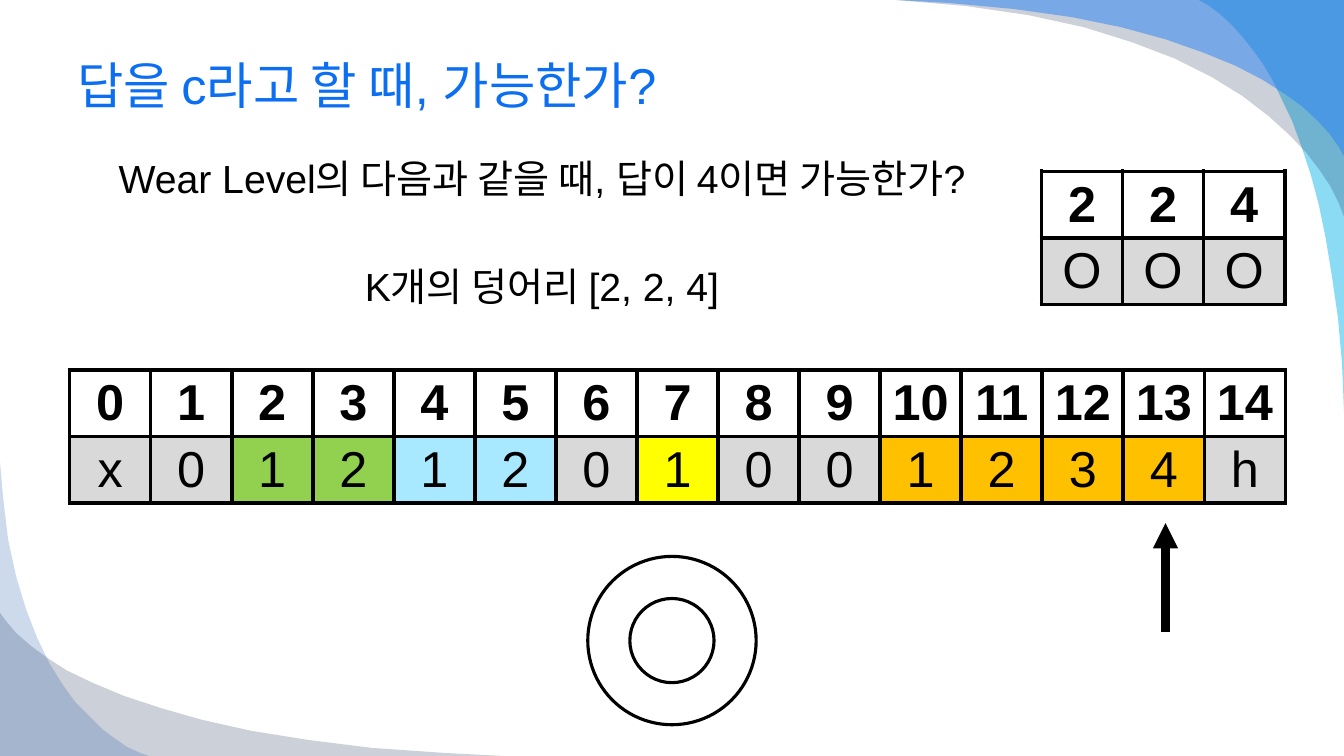
"""Build the slide that checks whether the answer c is possible."""
from lxml import etree
from pptx import Presentation
from pptx import util as u
from pptx.dml.color import RGBColor
from pptx.enum import shapes, text
from pptx.oxml import ns

COLORS = {
    "black": "000000", "white": "FFFFFF", "title": "0C6FF2", "gray": "D9D9D9",
    "green": "92D050", "sky": "A8E9FF", "yellow": "FFFF00", "orange": "FFC000",
    "cyan": "00B1E9", "navy": "021741", "blue": "247FF4", "royal": "084AA1",
}


def add_run(paragraph, words, size, color="black", bold=False):
    run = paragraph.add_run()
    run.text = words
    run.font.name = "Arial"
    run.font.size = u.Pt(size)
    run.font.bold = bold
    run.font.color.rgb = RGBColor.from_string(COLORS[color])


def add_grid(slide, left, top, headers, values, fills):
    column_width, row_height = 0.804, 0.66
    table = slide.shapes.add_table(
        2, len(headers), u.Inches(left), u.Inches(top),
        u.Inches(column_width * len(headers)), u.Inches(row_height * 2)).table
    for column in table.columns:
        column.width = u.Inches(column_width)
    rows = (headers, ["white"] * len(headers)), (values, fills)
    for row, (labels, colors) in enumerate(rows):
        table.rows[row].height = u.Inches(row_height)
        for column, (label, color) in enumerate(zip(labels, colors)):
            cell = table.cell(row, column)
            cell.margin_top = cell.margin_bottom = u.Inches(0.03)
            cell.vertical_anchor = text.MSO_ANCHOR.MIDDLE
            paragraph = cell.text_frame.paragraphs[0]
            paragraph.alignment = text.PP_ALIGN.CENTER
            add_run(paragraph, label, 36, bold=row == 0)
            properties = cell._tc.get_or_add_tcPr()
            for side in ("a:lnL", "a:lnR", "a:lnT", "a:lnB"):
                border = etree.SubElement(properties, ns.qn(side), w=str(u.Pt(3)))
                solid = etree.SubElement(border, ns.qn("a:solidFill"))
                etree.SubElement(solid, ns.qn("a:srgbClr"), val=COLORS["black"])
            cell.fill.solid()
            cell.fill.fore_color.rgb = RGBColor.from_string(COLORS[color])


presentation = Presentation()
presentation.slide_width = u.Inches(13.33)
presentation.slide_height = u.Inches(7.5)
slide = presentation.slides.add_slide(presentation.slide_layouts[6])

waves = [
    ("cyan", 45, [(13.33, 4.08), (13.33, 0), (11.89, 0), (11.98, 0.05), (12.1, 0.14),
                  (12.2, 0.23), (12.31, 0.35), (12.43, 0.5), (12.53, 0.64),
                  (12.63, 0.81), (12.72, 1), (12.82, 1.21), (12.91, 1.46), (13, 1.73),
                  (13.08, 2.03), (13.15, 2.37), (13.21, 2.74), (13.27, 3.15),
                  (13.31, 3.6)]),
    ("navy", 20, [(8.89, 0), (13.33, 0), (13.33, 2.15), (13.28, 2.02), (13.19, 1.84),
                  (13.09, 1.69), (12.96, 1.52), (12.79, 1.34), (12.58, 1.15),
                  (12.32, 0.95), (12.01, 0.76), (11.65, 0.58), (11.23, 0.42),
                  (10.75, 0.27), (10.2, 0.15), (9.58, 0.06)]),
    ("blue", 49, [(8.89, 0), (13.33, 0), (13.33, 1.55), (13.28, 1.46), (13.19, 1.33),
                  (13.06, 1.19), (12.92, 1.06), (12.74, 0.93), (12.52, 0.79),
                  (12.25, 0.65), (11.93, 0.52), (11.56, 0.39), (11.12, 0.27),
                  (10.63, 0.17), (10.06, 0.09), (9.42, 0.03)]),
    ("navy", 20, [(5, 7.5), (0, 7.5), (0, 6.08), (0.06, 6.16), (0.16, 6.28),
                  (0.31, 6.41), (0.46, 6.52), (0.66, 6.65), (0.91, 6.77),
                  (1.22, 6.9), (1.58, 7.02), (2, 7.14), (2.49, 7.25), (3.05, 7.34),
                  (3.69, 7.42), (4.41, 7.47)]),
    ("royal", 20, [(0, 4.58), (0, 7.5), (1.48, 7.5), (1.39, 7.47), (1.26, 7.41),
                   (1.13, 7.32), (1.01, 7.23), (0.89, 7.11), (0.75, 6.97),
                   (0.62, 6.79), (0.49, 6.58), (0.37, 6.33), (0.26, 6.05),
                   (0.16, 5.72), (0.08, 5.35), (0.03, 4.93)]),
]
for color, opacity, points in waves:
    corners = [(u.Inches(x), u.Inches(y)) for x, y in points]
    builder = slide.shapes.build_freeform(*corners[0])
    builder.add_line_segments(corners[1:], close=True)
    wave = builder.convert_to_shape()
    wave.shadow.inherit = False
    wave.line.fill.background()
    wave.fill.solid()
    wave.fill.fore_color.rgb = RGBColor.from_string(COLORS[color])
    tint = wave._element.spPr.find(".//" + ns.qn("a:srgbClr"))
    etree.SubElement(tint, ns.qn("a:alpha"), val=str(opacity * 1000))

title = slide.shapes.add_textbox(u.Inches(0.67), u.Inches(0.33), u.Inches(12), u.Inches(1.01))
title.text_frame.word_wrap = True
title.text_frame.vertical_anchor = text.MSO_ANCHOR.MIDDLE
add_run(title.text_frame.paragraphs[0], "답을 c라고 할 때, 가능한가?", 36, "title")

body = slide.shapes.add_textbox(u.Inches(0.67), u.Inches(1.48), u.Inches(9.41), u.Inches(1.82))
body.text_frame.word_wrap = True
question = body.text_frame.paragraphs[0]
chunks = body.text_frame.add_paragraph()
for paragraph, words, gap in (
    (question, "Wear Level의 다음과 같을 때, 답이 4이면 가능한가?", 5.6),
    (chunks, "K개의 덩어리 [2, 2, 4]", 43.4),
):
    paragraph.alignment = text.PP_ALIGN.CENTER
    paragraph.space_before = u.Pt(gap)
    add_run(paragraph, words, 28)

wear_fills = (["gray"] * 2 + ["green"] * 2 + ["sky"] * 2 + ["gray", "yellow"]
              + ["gray"] * 2 + ["orange"] * 4 + ["gray"])
add_grid(slide, 0.69, 3.67, [str(index) for index in range(15)], "x0121201001234h", wear_fills)
add_grid(slide, 10.33, 1.7, "224", "OOO", ["gray"] * 3)

arrow = slide.shapes.add_connector(
    shapes.MSO_CONNECTOR.STRAIGHT,
    u.Inches(11.56), u.Inches(6.27), u.Inches(11.56), u.Inches(5.19))
arrow.line.width = u.Pt(6)
arrow.line.color.rgb = RGBColor.from_string(COLORS["black"])
etree.SubElement(arrow.line._get_or_add_ln(), ns.qn("a:tailEnd"), type="triangle")
etree.SubElement(arrow._element.spPr, ns.qn("a:effectLst"))

ring = slide.shapes.add_shape(
    shapes.MSO_SHAPE.DONUT, u.Inches(5.83), u.Inches(5.52), u.Inches(1.67), u.Inches(1.67))
ring.shadow.inherit = False
ring.fill.solid()
ring.fill.fore_color.rgb = RGBColor.from_string(COLORS["white"])
ring.line.width = u.Pt(2.25)
ring.line.color.rgb = RGBColor.from_string(COLORS["black"])

presentation.save("out.pptx")
